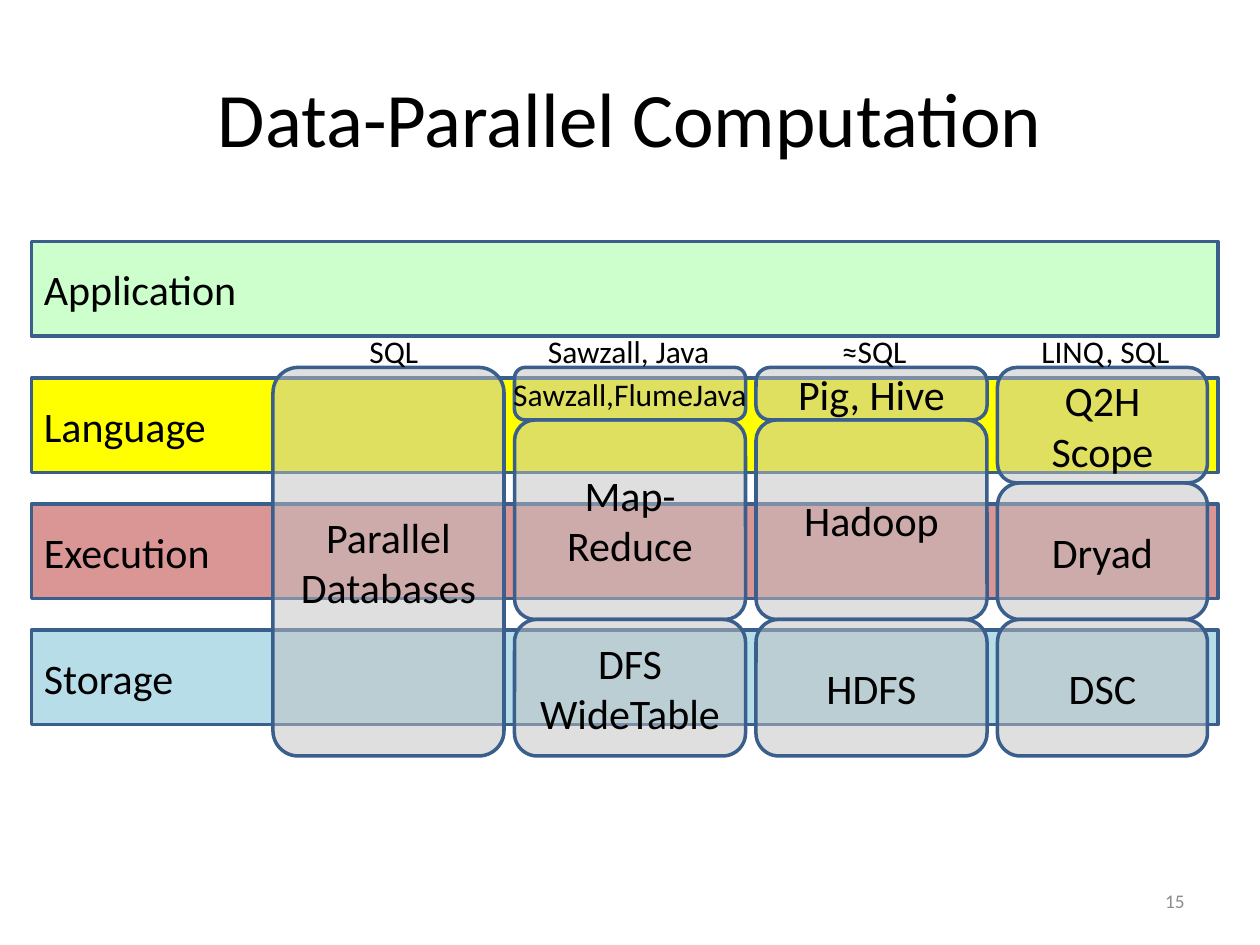
from lxml import etree
from pptx import Presentation
from pptx.dml.color import RGBColor
from pptx.enum import shapes, text
from pptx.oxml.ns import qn
from pptx.util import Pt

BLACK = RGBColor(0x00, 0x00, 0x00)
GRAY = RGBColor(0x8C, 0x8C, 0x8C)
SILVER = RGBColor(0xC0, 0xC0, 0xC0)
OUTLINE = RGBColor(0x3A, 0x5F, 0x8C)
GREEN = RGBColor(0xCC, 0xFF, 0xCC)
YELLOW = RGBColor(0xFF, 0xFF, 0x00)
RED = RGBColor(0xD9, 0x96, 0x94)
BLUE = RGBColor(0xB7, 0xDE, 0xE8)

LAYER_LEFT, LAYER_WIDTH, LAYER_HEIGHT = 18, 678, 54
LAYERS = [("Application", 138, GREEN), ("Language", 216, YELLOW),
          ("Execution", 288, RED), ("Storage", 360, BLUE)]

# Stack edges: top of the language part, storage part, and bottom
STACK_LEFT, STACK_GAP = 156, 6
STACK_TOP, STORAGE_TOP, STACK_BOTTOM = 210, 354, 432
LABEL_TOP, LABEL_HEIGHT = 186, 28.8
CORNER = 0.1667

# Each stack: width, (interface, left, width), parts from top to bottom;
# each part: name, bottom edge, corner, font size, wrap
STACKS = [
    (132, ("SQL", 204, 44),
     [("Parallel\vDatabases", STACK_BOTTOM, 0.109, 24, False)]),
    (132, ("Sawzall, Java", 306, 108),
     [("Sawzall,FlumeJava", 240, 0.202, 18, False),
      ("Map-Reduce", STORAGE_TOP, 0.103, 24, True),
      ("DFS\vWideTable", STACK_BOTTOM, CORNER, 24, True)]),
    (132, ("≈SQL", 474, 53),
     [("Pig, Hive", 240, 0.27, 24, True),
      ("Hadoop", STORAGE_TOP, 0.103, 24, True),
      ("HDFS", STACK_BOTTOM, CORNER, 24, True)]),
    (120, ("LINQ, SQL", 588, 89),
     [("Q2H\vScope", 276, CORNER, 24, False),
      ("Dryad", STORAGE_TOP, CORNER, 24, True),
      ("DSC", STACK_BOTTOM, CORNER, 24, False)]),
]


def write(frame, words, size, color=BLACK, align=text.PP_ALIGN.LEFT,
          anchor=text.MSO_ANCHOR.MIDDLE, wrap=True):
    frame.text = words
    frame.word_wrap = wrap
    frame.vertical_anchor = anchor
    paragraph = frame.paragraphs[0]
    paragraph.alignment = align
    for run in paragraph.runs:
        run.font.name = "Calibri"
        run.font.size = Pt(size)
        run.font.color.rgb = color


def add_block(slide, kind, left, top, width, height, color):
    block = slide.shapes.add_shape(kind, Pt(left), Pt(top), Pt(width), Pt(height))
    block.shadow.inherit = False
    block.fill.solid()
    block.fill.fore_color.rgb = color
    block.line.color.rgb = OUTLINE
    block.line.width = Pt(2)
    return block


def add_layer(slide, name, top, color):
    layer = add_block(slide, shapes.MSO_SHAPE.RECTANGLE, LAYER_LEFT, top,
                      LAYER_WIDTH, LAYER_HEIGHT, color)
    write(layer.text_frame, name, 24)


def add_part(slide, left, top, width, part):
    name, bottom, corner, size, wrap = part
    system = add_block(slide, shapes.MSO_SHAPE.ROUNDED_RECTANGLE, left, top,
                       width, bottom - top, SILVER)
    system.adjustments[0] = corner
    # Half-transparent fill lets the layers show through
    fill = system._element.spPr.find(qn("a:solidFill"))
    etree.SubElement(fill[0], qn("a:alpha"), val="50000")
    write(system.text_frame, name, size, align=text.PP_ALIGN.CENTER, wrap=wrap)


def add_label(slide, words, left, top, width, height, size, **style):
    label = slide.shapes.add_textbox(Pt(left), Pt(top), Pt(width), Pt(height))
    write(label.text_frame, words, size, **style)
    return label


def add_stack(slide, left, width, parts):
    top = STACK_TOP
    for part in parts:
        add_part(slide, left, top, width, part)
        top = part[1]


def main():
    deck = Presentation()
    deck.slide_width, deck.slide_height = Pt(720), Pt(540)
    slide = deck.slides.add_slide(deck.slide_layouts[5])

    # Title
    title = slide.shapes.title
    title.left, title.top = Pt(36), Pt(21.6)
    title.width, title.height = Pt(648), Pt(90)
    write(title.text_frame, "Data-Parallel Computation", 44,
          align=text.PP_ALIGN.CENTER)

    # Layers across the slide
    for layer in LAYERS:
        add_layer(slide, *layer)

    # Systems stacked over the layers, with their interfaces above
    left = STACK_LEFT
    for width, (interface, label_left, label_width), parts in STACKS:
        add_stack(slide, left, width, parts)
        label = add_label(slide, interface, label_left, LABEL_TOP, label_width,
                          LABEL_HEIGHT, 18, anchor=text.MSO_ANCHOR.TOP, wrap=False)
        label.text_frame.auto_size = text.MSO_AUTO_SIZE.SHAPE_TO_FIT_TEXT
        left += width + STACK_GAP

    # Slide number
    add_label(slide, "15", 516, 500.5, 168, 28.75, 11, color=GRAY,
              align=text.PP_ALIGN.RIGHT)

    deck.save("out.pptx")


if __name__ == "__main__":
    main()
